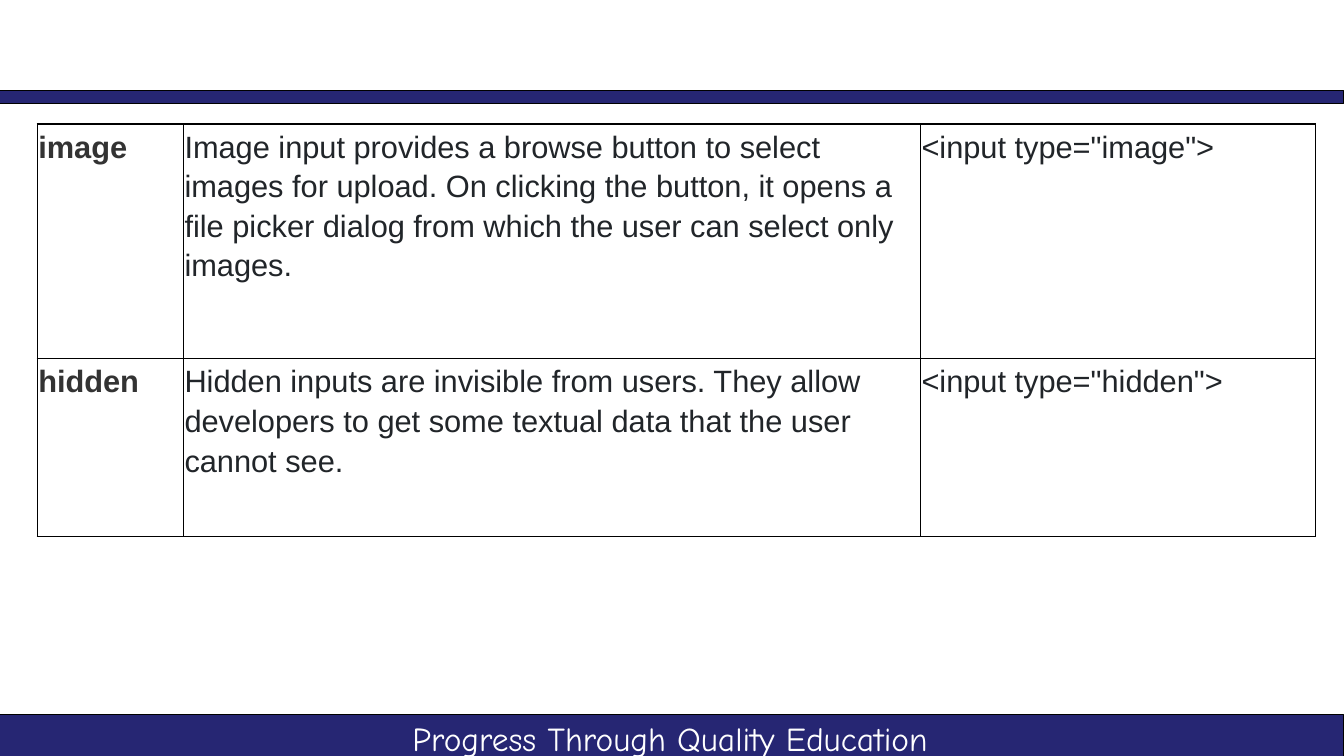
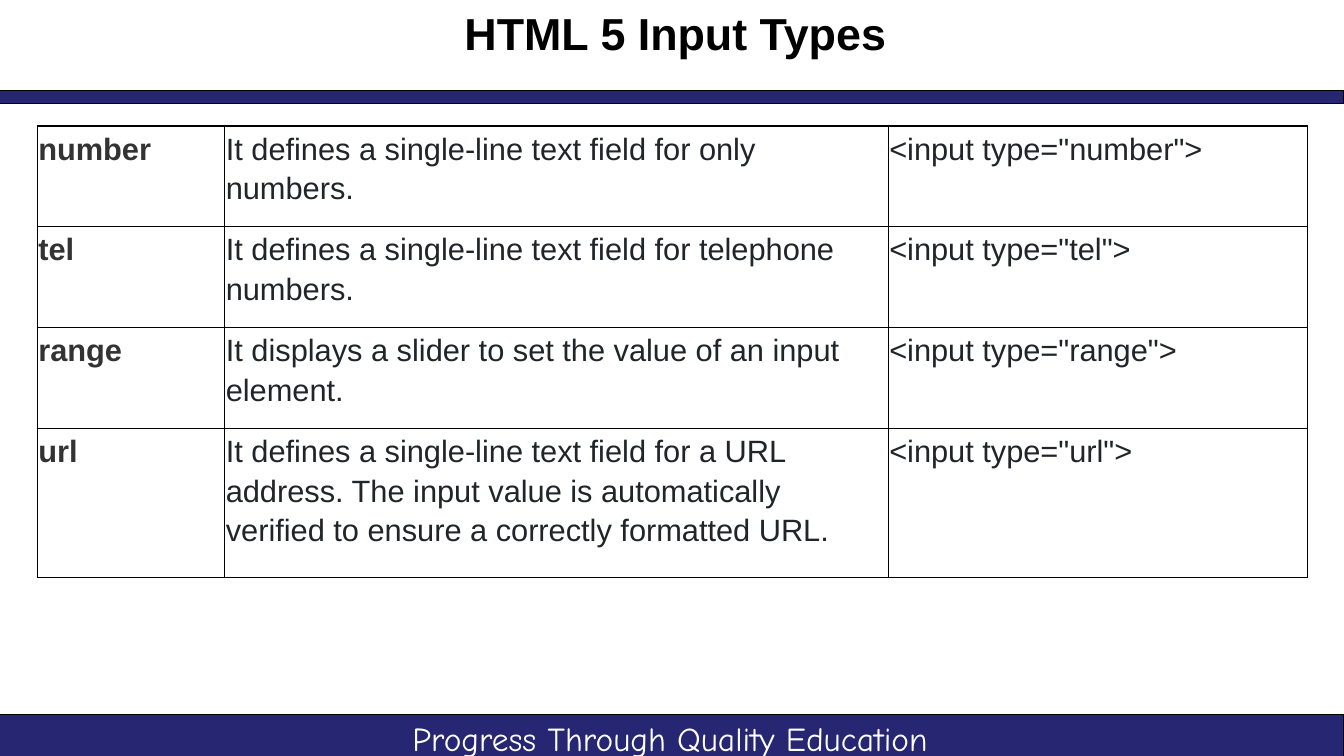
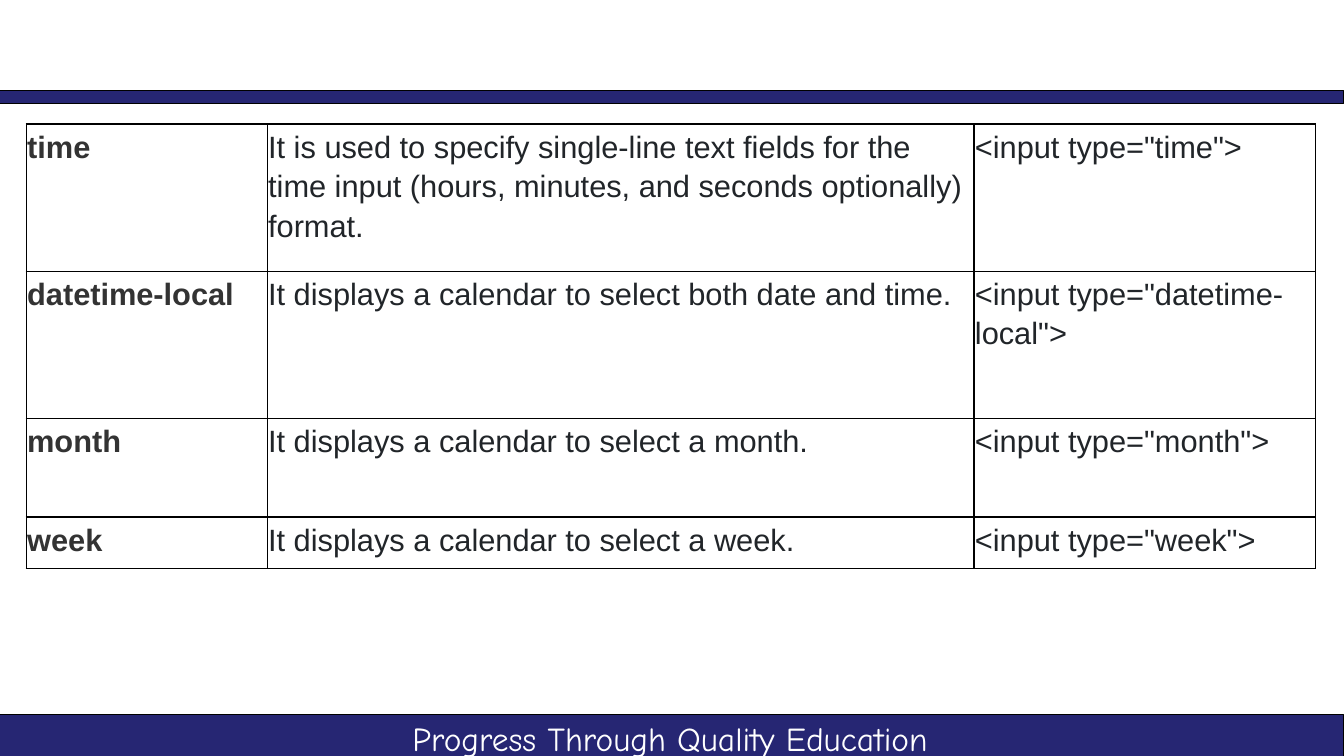
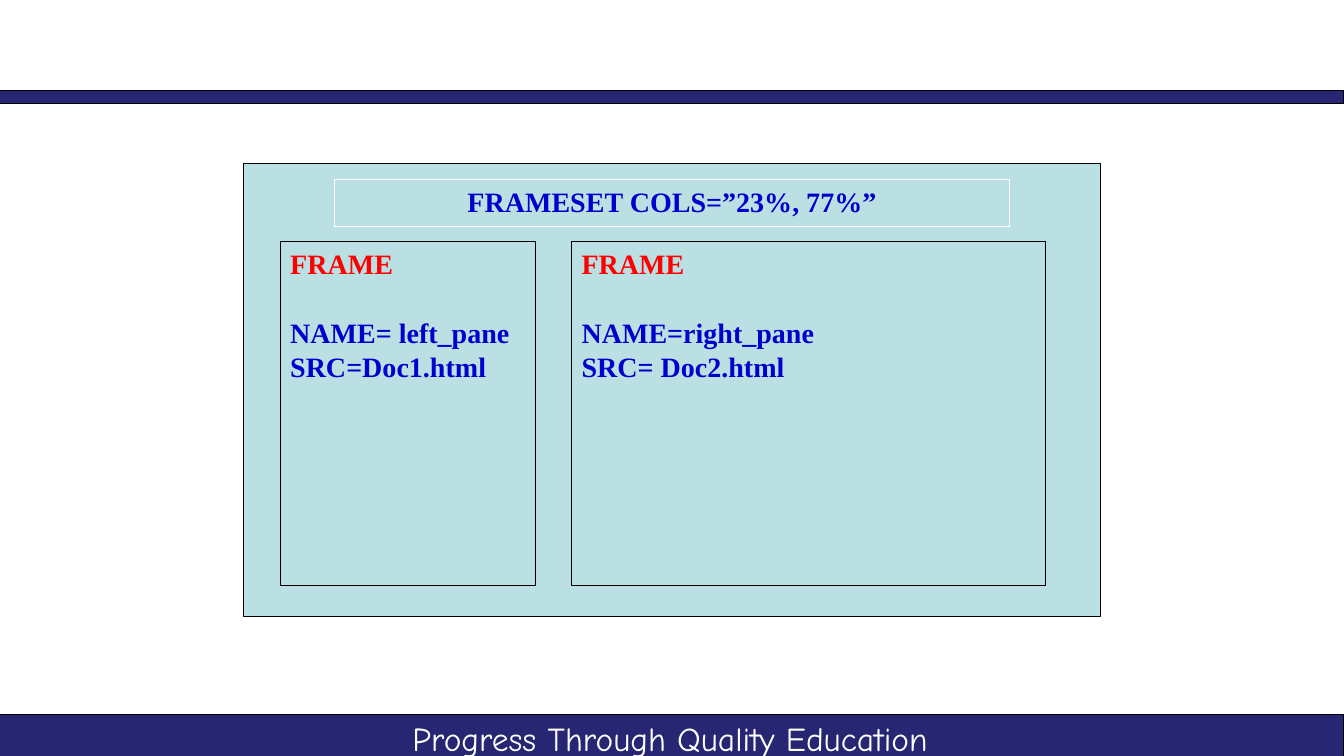
from lxml import etree
from pptx import Presentation
from pptx.dml.color import RGBColor
from pptx.enum import shapes, text
from pptx.oxml import ns
from pptx.util import Emu, Pt

PX = 9144
SLIDE_WIDTH, SLIDE_HEIGHT = 1333, 750
NAVY = RGBColor(0x26, 0x26, 0x73)
BLACK = RGBColor(0, 0, 0)
WHITE = RGBColor(0xFF, 0xFF, 0xFF)
CHARCOAL = RGBColor(0x33, 0x33, 0x33)
INK = RGBColor(0x21, 0x25, 0x29)
PALE_TEAL = RGBColor(0xBB, 0xE0, 0xE3)
BLUE = RGBColor(0, 0, 0xCC)
RED = RGBColor(0xFF, 0, 0)
BODY_FONT, FOOTER_FONT, FRAME_FONT = "Arial", "Comic Neue", "Times New Roman"
TITLE_ONLY, BLANK = 5, 6
CENTER = text.PP_ALIGN.CENTER

INPUT_TABLES = [
    {
        "title": None,
        "origin": (37, 123),
        "columns": (145, 731, 392),
        "rows": [
            (233, "image", "Image input provides a browse button to select images for upload. "
                           "On clicking the button, it opens a file picker dialog from which "
                           "the user can select only images."),
            (176, "hidden", "Hidden inputs are invisible from users. They allow developers to "
                            "get some textual data that the user cannot see."),
        ],
    },
    {
        "title": "HTML 5 Input Types",
        "origin": (37, 125),
        "columns": (186, 658, 416),
        "rows": [
            (100, "number", "It defines a single-line text field for only numbers."),
            (100, "tel", "It defines a single-line text field for telephone numbers."),
            (100, "range", "It displays a slider to set the value of an input element."),
            (148, "url", "It defines a single-line text field for a URL address. The input "
                         "value is automatically verified to ensure a correctly formatted URL."),
        ],
    },
    {
        "title": None,
        "origin": (26, 123),
        "columns": (239, 701, 339),
        "rows": [
            (146, "time", "It is used to specify single-line text fields for the time input "
                          "(hours, minutes, and seconds optionally) format."),
            (146, "datetime-local", "It displays a calendar to select both date and time."),
            (98, "month", "It displays a calendar to select a month."),
            (51, "week", "It displays a calendar to select a week."),
        ],
    },
]


def px(*lengths):
    return [Emu(length * PX) for length in lengths]


def style(paragraph, font_name, size, color, bold=False):
    for run in paragraph.runs:
        run.font.name = font_name
        run.font.size = Pt(size)
        run.font.color.rgb = color
        run.font.bold = bold


def add_box(parent, box, fill, line):
    shape = parent.shapes.add_shape(shapes.MSO_SHAPE.RECTANGLE, *px(*box))
    shape.shadow.inherit = False
    shape.fill.solid()
    shape.fill.fore_color.rgb = fill
    shape.line.color.rgb = line
    shape.line.width = Pt(0.75)
    return shape


def add_master_bands(presentation, slide):
    footer_band = add_box(slide, (0, 709, SLIDE_WIDTH, 46), NAVY, BLACK)
    header_band = add_box(slide, (0, 90, SLIDE_WIDTH, 13), NAVY, BLACK)
    motto = slide.shapes.add_textbox(*px(348, 707, 633, 53))
    motto.text_frame.word_wrap = True
    paragraph = motto.text_frame.paragraphs[0]
    paragraph.text = "Progress Through Quality Education"
    paragraph.alignment = CENTER
    style(paragraph, FOOTER_FONT, 23.9, WHITE)
    master_tree = presentation.slide_master.shapes.element
    for number, shape in enumerate((footer_band, header_band, motto), start=20):
        shape.element.nvSpPr.cNvPr.id = number
        master_tree.append(shape.element)


def set_title(slide, title):
    shape = slide.shapes.title
    shape.left, shape.top, shape.width, shape.height = px(245, 0, 850, 125)
    frame = shape.text_frame
    frame.text = title
    frame.auto_size = text.MSO_AUTO_SIZE.NONE
    frame.vertical_anchor = text.MSO_ANCHOR.TOP
    frame.margin_left, frame.margin_top, frame.margin_right, frame.margin_bottom = px(11, 6, 11, 6)
    frame.paragraphs[0].alignment = CENTER
    style(frame.paragraphs[0], BODY_FONT, 32, BLACK, True)


def set_borders(cell):
    properties = cell._tc.get_or_add_tcPr()
    for index, side in enumerate(("a:lnL", "a:lnR", "a:lnT", "a:lnB")):
        border = etree.Element(ns.qn(side), w=str(Pt(1)))
        fill = etree.SubElement(border, ns.qn("a:solidFill"))
        etree.SubElement(fill, ns.qn("a:srgbClr"), val=str(BLACK))
        properties.insert(index, border)


def fill_cell(cell, words, color, bold):
    cell.text = words
    cell.margin_left, cell.margin_top, cell.margin_right, cell.margin_bottom = px(1, 1, 1, 1)
    cell.fill.solid()
    cell.fill.fore_color.rgb = WHITE
    set_borders(cell)
    paragraph = cell.text_frame.paragraphs[0]
    paragraph.line_spacing = 1.15
    paragraph.space_after = Pt(12)
    style(paragraph, BODY_FONT, 22, color, bold)


def add_input_table(slide, origin, columns, rows):
    height = sum(row[0] for row in rows)
    table = slide.shapes.add_table(
        len(rows), len(columns), *px(*origin, sum(columns), height)).table
    table.first_row = table.horz_banding = False
    for column, width in zip(table.columns, columns):
        column.width = Emu(width * PX)
    for row, (row_height, name, description) in zip(table.rows, rows):
        row.height = Emu(row_height * PX)
        entries = (name, description, f'<input type="{name}">')
        for index, (cell, words) in enumerate(zip(row.cells, entries)):
            is_name = index == 0
            fill_cell(cell, words, CHARCOAL if is_name else INK, is_name)


def add_frame(group, box, line, lines):
    shape = add_box(group, box, PALE_TEAL, line)
    frame = shape.text_frame
    frame.word_wrap = True
    frame.vertical_anchor = text.MSO_ANCHOR.TOP
    frame.text = "\n".join(words for words, color in lines)
    for paragraph, (words, color) in zip(frame.paragraphs, lines):
        paragraph.alignment = text.PP_ALIGN.LEFT
        style(paragraph, FRAME_FONT, 20, color, True)
    return frame


def add_frameset(slide, left, top, width, height):
    group = slide.shapes.add_group_shape()
    add_box(group, (left, top, width, height), PALE_TEAL, BLACK)
    heading = add_frame(group, (left + 90, top + 16, 669, 47), WHITE,
                        [("FRAMESET COLS=”23%, 77%”", BLUE)])
    heading.paragraphs[0].alignment = CENTER
    panes = [
        (325, 470, "NAME=right_pane", "SRC= Doc2.html"),
        (36, 253, "NAME= left_pane", "SRC=Doc1.html"),
    ]
    for offset, pane_width, name, source in panes:
        pane = add_frame(group, (left + offset, top + 78, pane_width, 341), BLACK,
                         [("FRAME", RED), (name, BLUE), (source, BLUE)])
        pane.paragraphs[1].space_before = Pt(25)


def main():
    presentation = Presentation()
    presentation.slide_width, presentation.slide_height = px(SLIDE_WIDTH, SLIDE_HEIGHT)
    layouts = presentation.slide_layouts
    for content in INPUT_TABLES:
        title = content["title"]
        slide = presentation.slides.add_slide(layouts[TITLE_ONLY if title else BLANK])
        if title:
            set_title(slide, title)
        add_input_table(slide, content["origin"], content["columns"], content["rows"])
    frameset_slide = presentation.slides.add_slide(layouts[BLANK])
    add_master_bands(presentation, frameset_slide)
    add_frameset(frameset_slide, 242, 162, 850, 450)
    presentation.save("out.pptx")


if __name__ == "__main__":
    main()
